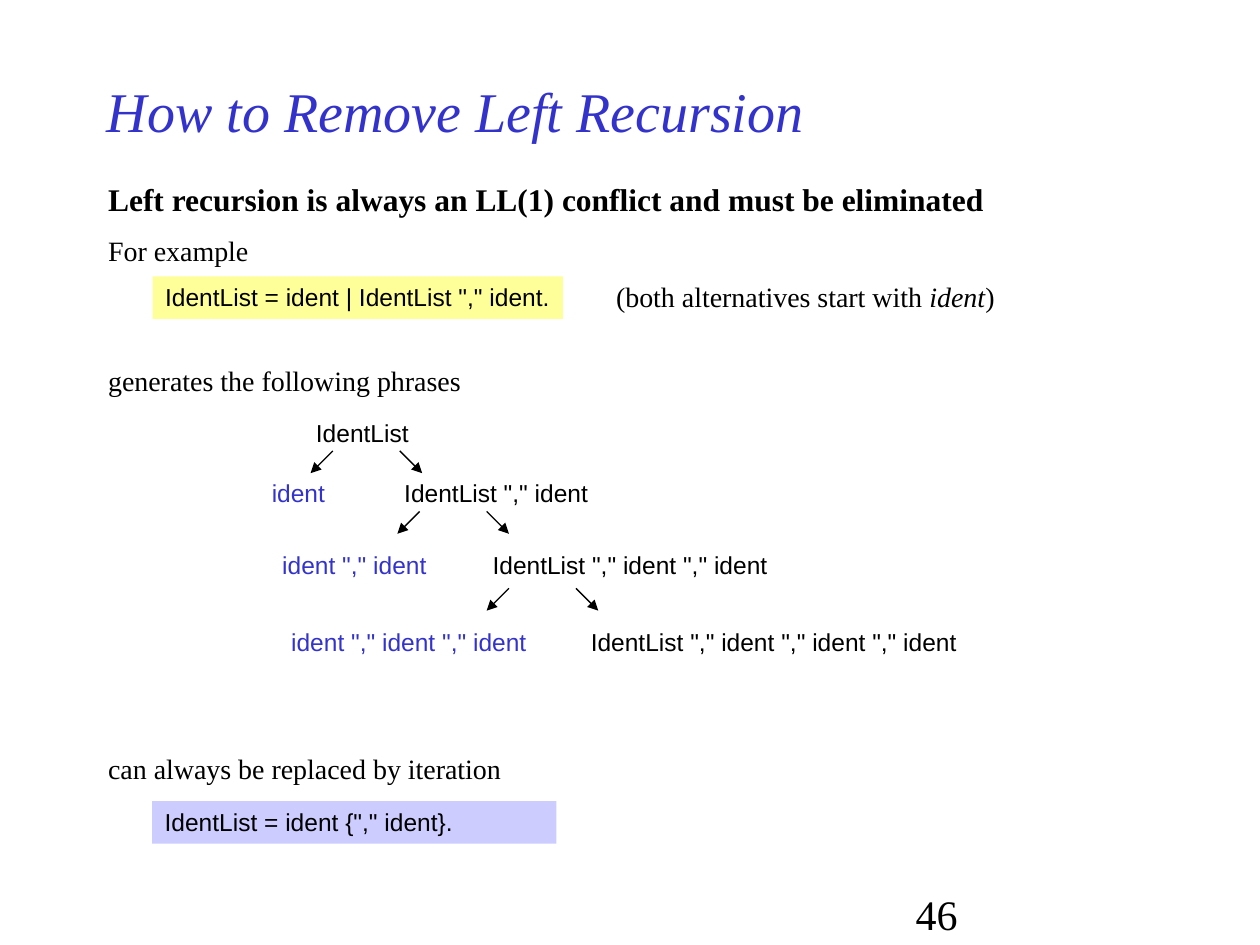
from lxml import etree
from pptx import Presentation
from pptx.dml.color import RGBColor
from pptx.enum.shapes import MSO_CONNECTOR, MSO_SHAPE
from pptx.enum.text import MSO_ANCHOR, MSO_AUTO_SIZE, PP_ALIGN
from pptx.oxml.ns import qn
from pptx.util import Cm, Pt

STRAIGHT = MSO_CONNECTOR.STRAIGHT
RECTANGLE = MSO_SHAPE.RECTANGLE
TOP, MIDDLE = MSO_ANCHOR.TOP, MSO_ANCHOR.MIDDLE
FIXED, GROW = MSO_AUTO_SIZE.NONE, MSO_AUTO_SIZE.SHAPE_TO_FIT_TEXT
LEFT = PP_ALIGN.LEFT
TITLE_ONLY = 5

SERIF, SANS = "Times New Roman", "Arial"
BLACK, BLUE, YELLOW, LAVENDER = "000000", "3333CC", "FFFF99", "CCCCFF"
NEXT_IDENT = ' "," ident'
ARROW_REACH, ARROW_GAP = 0.45, 1.35


def color(value):
    """Turn a hex string into a colour."""
    return RGBColor.from_string(value)


def write(frame, text, font=SERIF, size=16, fill=BLACK, bold=False, italic=False):
    """Append a formatted span to the first paragraph of a text frame."""
    para = frame.paragraphs[0]
    para.alignment = LEFT
    span = para.add_run()
    span.text = text
    span.font.name = font
    span.font.size = Pt(size)
    span.font.color.rgb = color(fill)
    span.font.bold = bold
    span.font.italic = italic


class GrammarPage:
    """Draw the elements of a grammar lecture on one slide."""

    def __init__(self, deck):
        """Add a title-only slide to the deck."""
        self.page = deck.slides.add_slide(deck.slide_layouts[TITLE_ONLY])

    def title(self, text, left, top, width, height):
        """Place and format the slide title."""
        box = self.page.shapes.title
        box.left, box.top, box.width, box.height = map(Cm, (left, top, width, height))
        frame = box.text_frame
        frame.auto_size = FIXED
        frame.vertical_anchor = MIDDLE
        write(frame, text, size=32, fill=BLUE, italic=True)

    def label(self, text, left, top, width, height=0.94, **style):
        """Add a single-line text box and return its frame."""
        box = self.page.shapes.add_textbox(*map(Cm, (left, top, width, height)))
        frame = box.text_frame
        frame.word_wrap = False
        frame.auto_size = GROW
        write(frame, text, **style)
        return frame

    def code(self, text, left, top, width, fill=BLACK):
        """Add a line of grammar code."""
        self.label(text, left, top, width, 0.86, font=SANS, size=14, fill=fill)

    def rule(self, text, left, top, width, fill):
        """Add a grammar rule on a coloured bar."""
        bar = self.page.shapes.add_shape(RECTANGLE, *map(Cm, (left, top, width, 0.86)))
        bar.shadow.inherit = False
        bar.fill.solid()
        bar.fill.fore_color.rgb = color(fill)
        bar.line.fill.background()
        frame = bar.text_frame
        frame.word_wrap = True
        frame.vertical_anchor = TOP
        write(frame, text, font=SANS, size=14)

    def arrow(self, left, top, reach):
        """Add a diagonal arrow pointing downwards."""
        ends = map(Cm, (left, top, left + reach, top + ARROW_REACH))
        line = self.page.shapes.add_connector(STRAIGHT, *ends)
        line.line.color.rgb = color(BLACK)
        line.line.width = Pt(0.75)
        etree.SubElement(line.line._get_or_add_ln(), qn("a:tailEnd"), type="triangle")
        etree.SubElement(line._element.spPr, qn("a:effectLst"))

    def fork(self, left, top):
        """Add the pair of arrows below a phrase."""
        self.arrow(left, top, -ARROW_REACH)
        self.arrow(left + ARROW_GAP, top, ARROW_REACH)


def main():
    """Build the slide and save it."""
    deck = Presentation()
    deck.slide_width, deck.slide_height = Cm(25.4), Cm(19.05)
    page = GrammarPage(deck)

    page.title("How to Remove Left Recursion", 1.9, 1.27, 19.05, 1.9)
    page.label("Left recursion is always an LL(1) conflict and must be eliminated",
               1.93, 3.5, 18.19, 1.02, size=18, bold=True)
    page.label("For example", 1.93, 4.59, 3.35)
    page.rule('IdentList = ident | IdentList "," ident.', 3.08, 5.57, 8.27, YELLOW)
    remark = page.label("(both alternatives start with ", 12.17, 5.52, 8.15)
    write(remark, "ident", italic=True)
    write(remark, ")")

    page.label("generates the following phrases", 1.93, 7.21, 7.65)
    page.code("IdentList", 6.12, 8.3, 2.4)
    levels = [
        (6.71, 9.09, 9.52, 5.23, 1.6, 7.9, 4.24),
        (8.46, 10.31, 10.97, 5.44, 3.44, 9.68, 6.08),
        (10.26, 11.86, 12.52, 5.62, 5.28, 11.66, 7.92),
    ]
    for depth, level in enumerate(levels):
        fork_left, fork_top, top, left, width, list_left, list_width = level
        page.fork(fork_left, fork_top)
        page.code("ident" + NEXT_IDENT * depth, left, top, width, BLUE)
        page.code("IdentList" + NEXT_IDENT * (depth + 1), list_left, top, list_width)

    page.label("can always be replaced by iteration", 1.93, 15.03, 8.45)
    page.rule('IdentList = ident {"," ident}.', 3.07, 16.15, 8.15, LAVENDER)
    number = page.label("46", 18.21, 17.78, 5.28, 0.84, size=24)
    number.word_wrap = True
    number.auto_size = FIXED

    deck.save("out.pptx")


if __name__ == "__main__":
    main()
